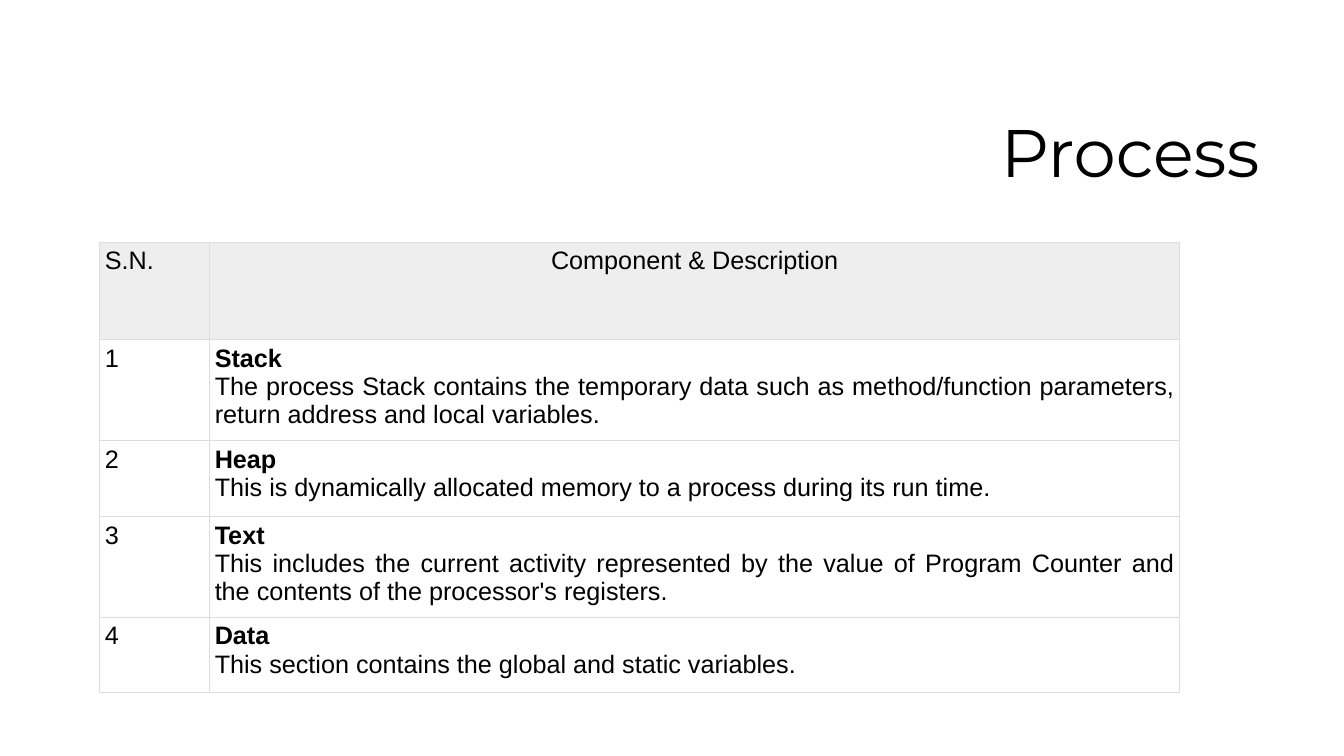
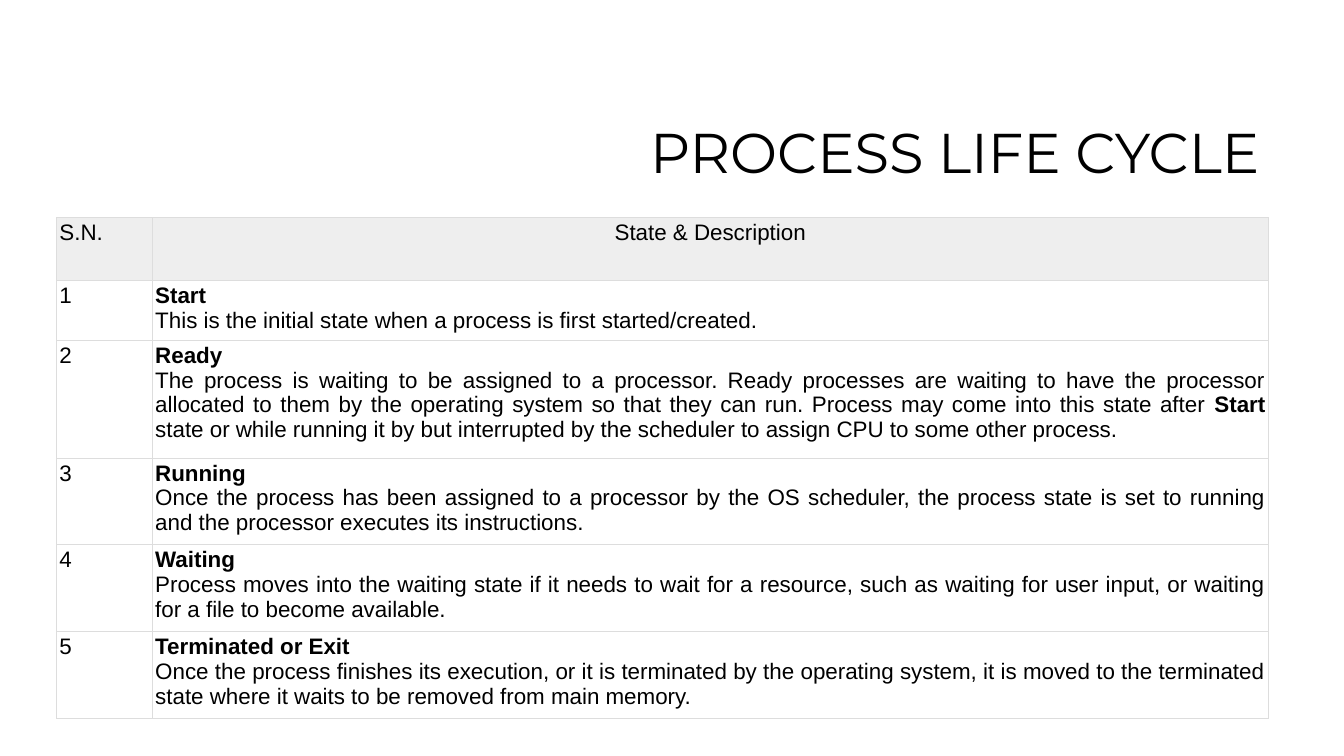
from lxml.etree import SubElement
from pptx import Presentation
from pptx.dml.color import RGBColor
from pptx.enum.text import MSO_ANCHOR as Anchor, PP_ALIGN as Align
from pptx.oxml.ns import qn
from pptx.util import Pt

PX = 9144  # EMU per px, 100 px to the inch


def px(length):
    return length * PX


def rgb(hex_code):
    return RGBColor.from_string(hex_code)


class Deck:
    """Shared style and the slide being built."""

    INK, PAPER, HEADER, RULE = "000000", "FFFFFF", "EEEEEE", "DDDDDD"
    TITLE_FONT, BODY_FONT = "Montserrat", "Arial"
    TITLE_BOX = (317, 84, 942, 141)
    RULE_WIDTH = Pt(0.6)

    def __init__(self, width, height):
        self.prs = Presentation()
        self.prs.slide_width, self.prs.slide_height = px(width), px(height)
        self.slide = None

    def new_slide(self):
        self.slide = self.prs.slides.add_slide(self.prs.slide_layouts[6])
        background = self.slide.background.fill
        background.solid()
        background.fore_color.rgb = rgb(self.PAPER)

    def run(self, paragraph, text, **font_format):
        run = paragraph.add_run()
        run.text = text
        for name, value in font_format.items():
            setattr(run.font, name, value)
        run.font.color.rgb = rgb(self.INK)

    def title(self, text, size):
        frame = self.slide.shapes.add_textbox(*map(px, self.TITLE_BOX)).text_frame
        frame.word_wrap = True
        frame.vertical_anchor = Anchor.MIDDLE
        heading = frame.paragraphs[0]
        heading.alignment, heading.line_spacing = Align.RIGHT, 0.9
        self.run(heading, text, name=self.TITLE_FONT, size=Pt(size))

    def cell(self, cell, lines, align, size, inset, fill):
        """Fill one cell; text between asterisks is bold."""
        for side in ("left", "top", "right", "bottom"):
            setattr(cell, f"margin_{side}", px(inset))
        frame = cell.text_frame
        for index, line in enumerate(lines):
            paragraph = frame.add_paragraph() if index else frame.paragraphs[0]
            paragraph.alignment = align
            for part, text in enumerate(line.split("*")):
                if text:
                    self.run(paragraph, text, name=self.BODY_FONT,
                             size=Pt(size), bold=part % 2 == 1)
        # Borders go before the fill in the cell properties
        properties = cell._tc.get_or_add_tcPr()
        for edge in ("a:lnL", "a:lnR", "a:lnT", "a:lnB"):
            border = SubElement(properties, qn(edge), w=str(self.RULE_WIDTH))
            paint = SubElement(border, qn("a:solidFill"))
            SubElement(paint, qn("a:srgbClr"), val=self.RULE)
        cell.fill.solid()
        cell.fill.fore_color.rgb = rgb(fill)

    def numbered_table(self, heading, entries, corner, widths, heights, size, inset):
        """Header row, then a numbered row for each term and its description."""
        table = self.slide.shapes.add_table(
            len(heights), len(widths), *map(px, corner),
            px(sum(widths)), px(sum(heights))).table
        table.first_row = table.horz_banding = False
        for column, width in zip(table.columns, widths):
            column.width = px(width)
        for row, height in zip(table.rows, heights):
            row.height = px(height)
        rows = [("S.N.", [heading])]
        rows += [(str(number), [f"*{term}*", description])
                 for number, (term, description) in enumerate(entries, 1)]
        for index, (number, lines) in enumerate(rows):
            fill = self.PAPER if index else self.HEADER
            align = Align.JUSTIFY if index else Align.CENTER
            self.cell(table.cell(index, 0), [number], Align.LEFT, size, inset, fill)
            self.cell(table.cell(index, 1), lines, align, size, inset, fill)


COMPONENTS = [
    ("Stack", "The process Stack contains the temporary data such as "
              "method/function parameters, return address and local variables."),
    ("Heap", "This is dynamically allocated memory to a process during its run time."),
    ("Text", "This includes the current activity represented by the value of "
             "Program Counter and the contents of the processor's registers."),
    ("Data", "This section contains the global and static variables."),
]

STATES = [
    ("Start", "This is the initial state when a process is first started/created."),
    ("Ready", "The process is waiting to be assigned to a processor. Ready processes "
              "are waiting to have the processor allocated to them by the operating "
              "system so that they can run. Process may come into this state "
              "after *Start* state or while running it by but interrupted by the "
              "scheduler to assign CPU to some other process."),
    ("Running", "Once the process has been assigned to a processor by the OS "
                "scheduler, the process state is set to running and the processor "
                "executes its instructions."),
    ("Waiting", "Process moves into the waiting state if it needs to wait for a "
                "resource, such as waiting for user input, or waiting for a file to "
                "become available."),
    ("Terminated or Exit", "Once the process finishes its execution, or it is "
                           "terminated by the operating system, it is moved to the "
                           "terminated state where it waits to be removed from main "
                           "memory."),
]


def main():
    deck = Deck(1333, 750)

    # Process components
    deck.new_slide()
    deck.title("Process", 48)
    deck.numbered_table("Component & Description", COMPONENTS, corner=(99, 240),
                        widths=(109, 962), heights=(97, 97, 75, 97, 75),
                        size=18, inset=5)

    # Process states
    deck.new_slide()
    deck.title("PROCESS LIFE CYCLE", 40)
    deck.numbered_table("State & Description", STATES, corner=(56, 216),
                        widths=(95, 1107), heights=(62, 56, 117, 80, 80, 80),
                        size=16, inset=3)

    deck.prs.save("out.pptx")


if __name__ == "__main__":
    main()
